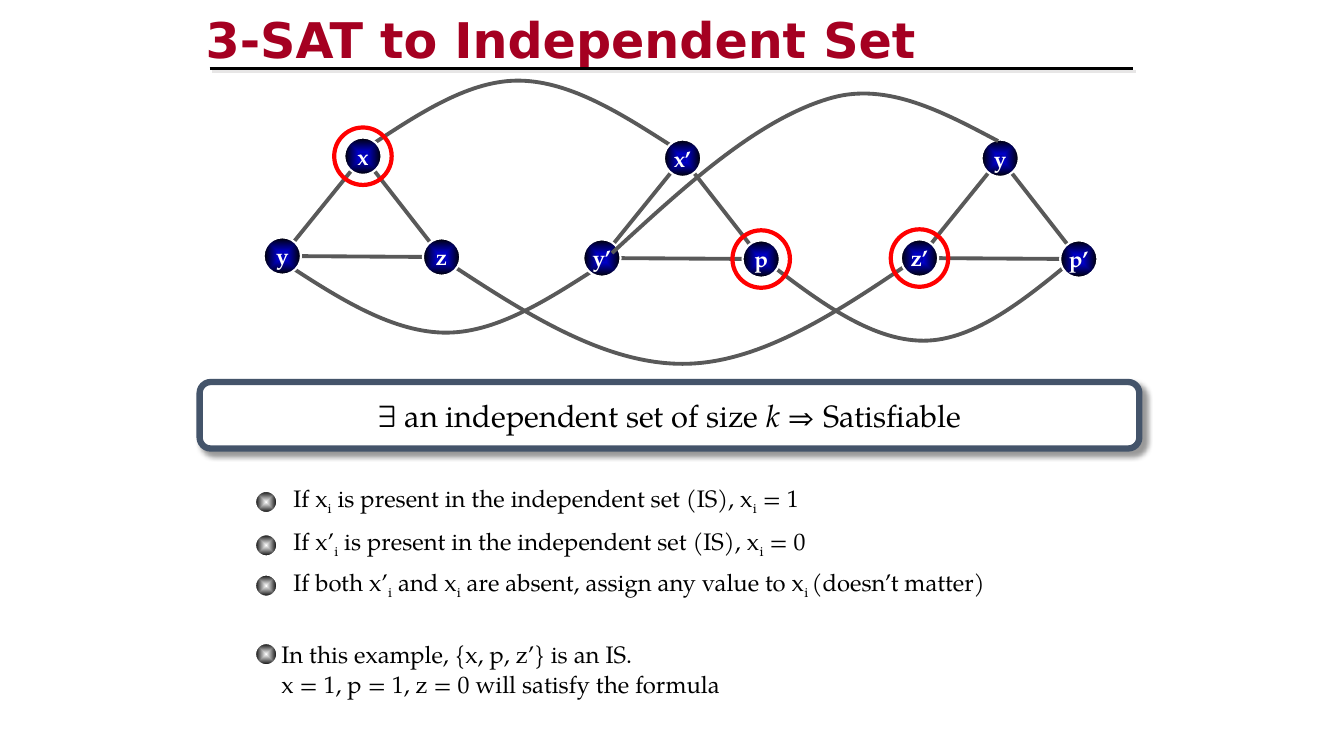
from dataclasses import dataclass
from typing import NamedTuple

import pptx
import pptx.util
from lxml import etree
from pptx.dml.color import RGBColor
from pptx.enum.shapes import MSO_CONNECTOR, MSO_SHAPE
from pptx.enum.text import MSO_ANCHOR, MSO_AUTO_SIZE, PP_ALIGN
from pptx.oxml.ns import qn
from pptx.util import Inches, Pt


@dataclass(frozen=True)
class Theme:
    title_font: str = "DejaVu Sans"
    text_font: str = "TeX Gyre Pagella"
    title_size: float = 35.1
    claim_size: float = 22
    list_size: float = 17
    node_size: float = 16
    crimson: str = "A50021"
    black: str = "000000"
    white: str = "FFFFFF"
    edge: str = "595959"
    frame: str = "44546A"
    ring: str = "FF0000"
    pale: str = "E7E6E6"
    node_stops: tuple = ((0, "0000CC"), (6, "0000C0"), (10, "0000B7"),
                         (16, "0000AB"), (21, "0000CC"), (100, "000000"))
    bead_stops: tuple = ((0, "FFFFFF"), (100, "000000"))


class Box(NamedTuple):
    left: float
    top: float
    width: float
    height: float

    def emu(self):
        return [Inches(length) for length in self]


THEME = Theme()

# Three literals per clause: apex, lower left, lower right
CLAUSES = [((1.1, 1.05), "xyz"), ((4.27, 1.07), ("x’", "y’", "p")),
           ((7.42, 1.07), ("y", "z’", "p’"))]
CORNERS = [(0, 0), (-0.8, 0.99), (0.78, 1.0)]
CHOSEN = {"x", "p", "z’"}
# Start, crest, end and slope at the crest of each conflict edge
CONFLICTS = [((1.18, 0.94), (2.66, 0.3), (4.18, 0.96), 0.02),
             ((0.28, 2.08), (1.89, 2.8), (3.42, 2.16), 0.03),
             ((1.86, 2.05), (4.27, 3.11), (6.61, 2.05), 0),
             ((5.06, 2.06), (6.66, 2.88), (8.2, 2.03), 0)]
CROSSING_CONFLICT = ((3.57, 2.01), (5.75, 0.47), (7.4, 0.9), -0.28)

# Offset from the list's top, indent, lines; "|" switches subscript on and off
RULES = [
    (0, 0.12, ["If x|i| is present in the independent set (IS), x|i| = 1"]),
    (0.43, 0.12, ["If x’|i| is present in the independent set (IS), x|i| = 0"]),
    (0.83, 0.12, ["If both x’|i| and x|i| are absent, assign any value to x|i |(doesn’t matter)"]),
    (1.51, 0, ["In this example, {x, p, z’} is an IS.",
               "x = 1, p = 1, z = 0 will satisfy the formula"]),
]
LINE_HEIGHT = 0.3


def style_line(line, color, width):
    line.color.rgb = RGBColor.from_string(color)
    line.width = Pt(width)


def style_font(font, name, size, color, bold=False):
    font.name, font.size, font.bold = name, Pt(size), bold
    font.color.rgb = RGBColor.from_string(color)


def add_shadow(effects, color, alpha, blur, distance):
    shadow = etree.SubElement(effects, qn("a:outerShdw"), blurRad=str(Pt(blur)),
                              dist=str(Pt(distance)), dir="2700000", algn="tl", rotWithShape="0")
    tint = etree.SubElement(shadow, qn("a:srgbClr"), val=color)
    etree.SubElement(tint, qn("a:alpha"), val=str(alpha * 1000))


def write_alternating(paragraph, marked, size, emphasise):
    """Split the text at "|" and emphasise every second piece."""
    for index, piece in enumerate(marked.split("|")):
        run = paragraph.add_run()
        run.text = piece
        style_font(run.font, THEME.text_font, size, THEME.black)
        if index % 2:
            emphasise(run.font)


def make_subscript(font):
    font._element.set("baseline", "-25000")


def make_italic(font):
    font.italic = True


def add_line(slide, start, end, color, width):
    line = slide.shapes.add_connector(MSO_CONNECTOR.STRAIGHT, *map(Inches, start + end))
    style_line(line.line, color, width)
    return etree.SubElement(line._element.spPr, qn("a:effectLst"))


def add_circle(slide, center, diameter, color, width, stops=()):
    x, y = center
    box = Box(x - diameter / 2, y - diameter / 2, diameter, diameter)
    circle = slide.shapes.add_shape(MSO_SHAPE.OVAL, *box.emu())
    circle.shadow.inherit = False
    circle.fill.background()
    style_line(circle.line, color, width)
    if stops:
        gradient = etree.Element(qn("a:gradFill"), rotWithShape="1")
        stop_list = etree.SubElement(gradient, qn("a:gsLst"))
        for position, stop_color in stops:
            stop = etree.SubElement(stop_list, qn("a:gs"), pos=str(position * 1000))
            etree.SubElement(stop, qn("a:srgbClr"), val=stop_color)
        focus = etree.SubElement(gradient, qn("a:path"), {"path": "shape"})
        etree.SubElement(focus, qn("a:fillToRect"), l="50000", t="50000", r="50000", b="50000")
        properties = circle._element.spPr
        properties.replace(properties.find(qn("a:noFill")), gradient)
    return circle


def add_conflict(slide, box, start, crest, end, slope):
    """Draw two cubic curves that meet at the crest with the given slope."""
    def handles(foot):
        run = (crest[0] - foot[0]) / 3
        near_crest = (crest[0] - run, crest[1] - slope * run)
        return (foot[0] + run, (foot[1] + near_crest[1]) / 2), near_crest

    points = [start, *handles(start), crest, *reversed(handles(end)), end]
    first, *others = [(Inches(box.left + x), Inches(box.top + y)) for x, y in points]
    builder = slide.shapes.build_freeform(*first)
    builder.add_line_segments(others, close=False)
    curve = builder.convert_to_shape()
    curve.shadow.inherit = False
    curve.fill.background()
    style_line(curve.line, THEME.edge, 2.75)
    segments = list(curve._element.iter(qn("a:lnTo")))
    outline = segments[0].getparent()
    for index in range(0, len(segments), 3):
        cubic = etree.SubElement(outline, qn("a:cubicBezTo"))
        for segment in segments[index:index + 3]:
            cubic.append(segment[0])
            outline.remove(segment)


def add_heading(slide, box):
    heading = slide.shapes.title
    heading.left, heading.top, heading.width, heading.height = box.emu()
    frame = heading.text_frame
    frame.text = "3-SAT to Independent Set"
    frame.auto_size = MSO_AUTO_SIZE.NONE
    frame.vertical_anchor = MSO_ANCHOR.BOTTOM
    frame.margin_bottom = 0
    paragraph = frame.paragraphs[0]
    paragraph.alignment = PP_ALIGN.LEFT
    font = paragraph.runs[0].font
    style_font(font, THEME.title_font, THEME.title_size, THEME.crimson, bold=True)
    effects = etree.Element(qn("a:effectLst"))
    add_shadow(effects, THEME.pale, 100, 0, 2.8)
    font._element.find(qn("a:solidFill")).addnext(effects)
    rule_left, rule_top = box.left + 0.14, box.top + box.height
    effects = add_line(slide, (rule_left, rule_top), (rule_left + 9.16, rule_top), THEME.black, 2.25)
    add_shadow(effects, THEME.pale, 100, 0, 2.8)


def add_graph(slide, box):
    for conflict in CONFLICTS:
        add_conflict(slide, box, *conflict)
    nodes = []
    for (x, y), literals in CLAUSES:
        triangle = [(box.left + x + dx, box.top + y + dy) for dx, dy in CORNERS]
        for index, corner in enumerate(triangle):
            add_line(slide, corner, triangle[index - 1], THEME.edge, 2.75)
        nodes += zip(literals, triangle)
    for literal, center in nodes:
        node = add_circle(slide, center, 0.37, THEME.white, 1.5, THEME.node_stops)
        frame = node.text_frame
        frame.text = literal
        frame.word_wrap = False
        frame.vertical_anchor = MSO_ANCHOR.MIDDLE
        frame.paragraphs[0].alignment = PP_ALIGN.CENTER
        style_font(frame.paragraphs[0].runs[0].font, THEME.text_font, THEME.node_size,
                   THEME.white, bold=True)
    for literal, center in nodes:
        if literal in CHOSEN:
            add_circle(slide, center, 0.57, THEME.ring, 3)
    add_conflict(slide, box, *CROSSING_CONFLICT)


def add_claim(slide, box):
    claim = slide.shapes.add_shape(MSO_SHAPE.ROUNDED_RECTANGLE, *box.emu())
    claim.fill.solid()
    claim.fill.fore_color.rgb = RGBColor.from_string(THEME.white)
    style_line(claim.line, THEME.frame, 4.5)
    claim.shadow.inherit = False
    add_shadow(claim._element.spPr.find(qn("a:effectLst")), THEME.black, 40, 4, 4)
    claim.text_frame.vertical_anchor = MSO_ANCHOR.MIDDLE
    paragraph = claim.text_frame.paragraphs[0]
    paragraph.alignment = PP_ALIGN.CENTER
    write_alternating(paragraph, "∃ an independent set of size |k| ⇒ Satisfiable",
                      THEME.claim_size, make_italic)


def add_rules(slide, box):
    body = slide.placeholders[1]
    body.left, body.top, body.width, body.height = box.emu()
    frame = body.text_frame
    frame.auto_size = MSO_AUTO_SIZE.NONE
    frame.vertical_anchor = MSO_ANCHOR.TOP
    line_bottom = 0
    for offset, indent, lines in RULES:
        for index, line in enumerate(lines):
            paragraph = frame.add_paragraph() if line_bottom else frame.paragraphs[0]
            properties = paragraph._p.get_or_add_pPr()
            properties.set("marL", str(Inches(indent)))
            properties.set("indent", "0")
            etree.SubElement(properties, qn("a:buNone"))
            line_top = offset + index * LINE_HEIGHT
            paragraph.line_spacing = Pt(LINE_HEIGHT * 72)
            paragraph.space_before = Pt(round((line_top - line_bottom) * 72, 1))
            paragraph.space_after = Pt(0)
            write_alternating(paragraph, line, THEME.list_size, make_subscript)
            line_bottom = line_top + LINE_HEIGHT
        add_circle(slide, (box.left - 0.05, box.top + offset + 0.21), 0.22,
                   THEME.white, 1.5, THEME.bead_stops)


def main():
    deck = pptx.Presentation()
    deck.slide_width, deck.slide_height = Inches(13.33), Inches(7.5)
    slide = deck.slides.add_slide(deck.slide_layouts[1])
    add_heading(slide, Box(1.94, 0.01, 8.5, 0.67))
    add_graph(slide, Box(2.5, 0.5, 8.5, 3.2))
    add_claim(slide, Box(1.98, 3.79, 9.32, 0.66))
    add_rules(slide, Box(2.69, 4.77, 8.11, 2.2))
    deck.save("out.pptx")


if __name__ == "__main__":
    main()
